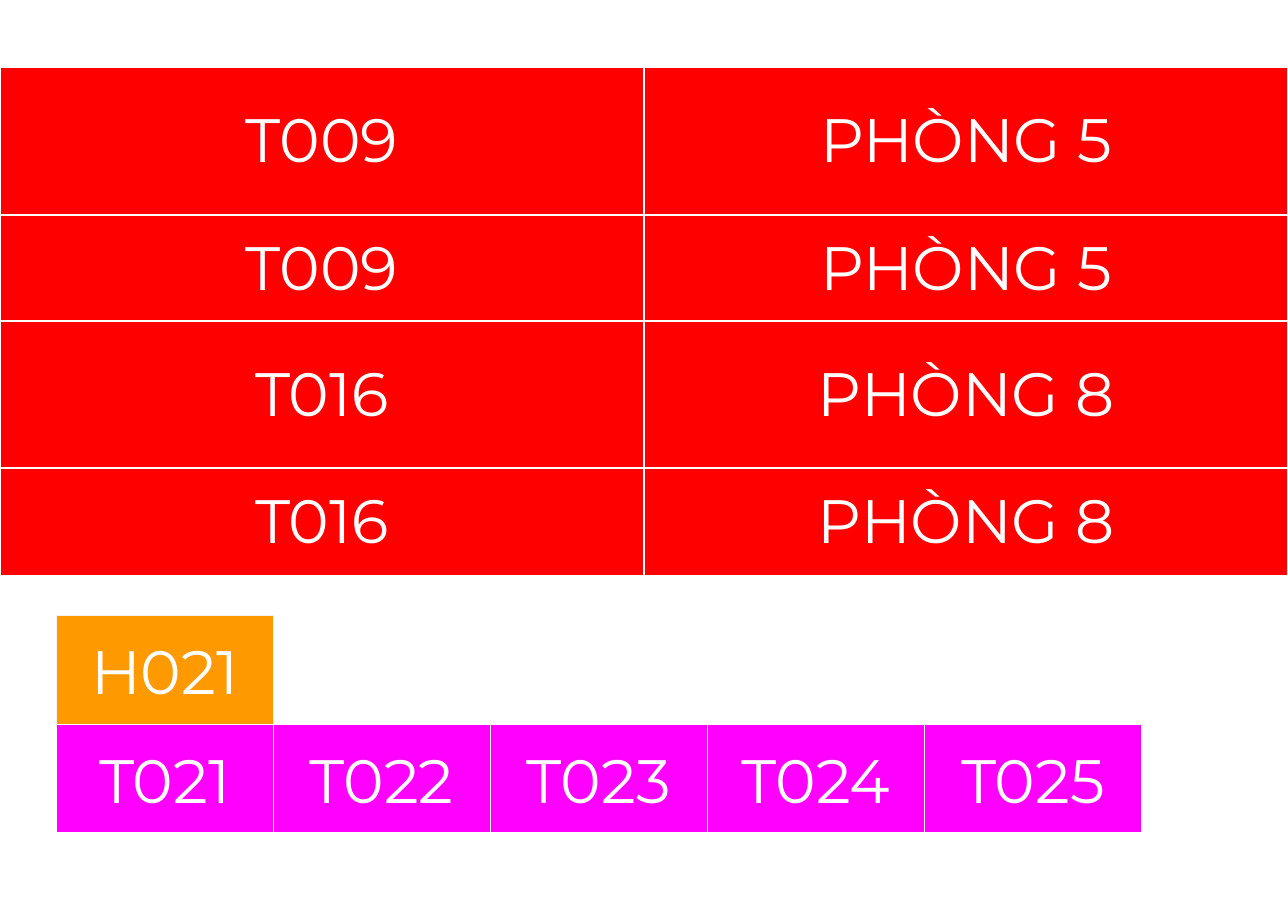
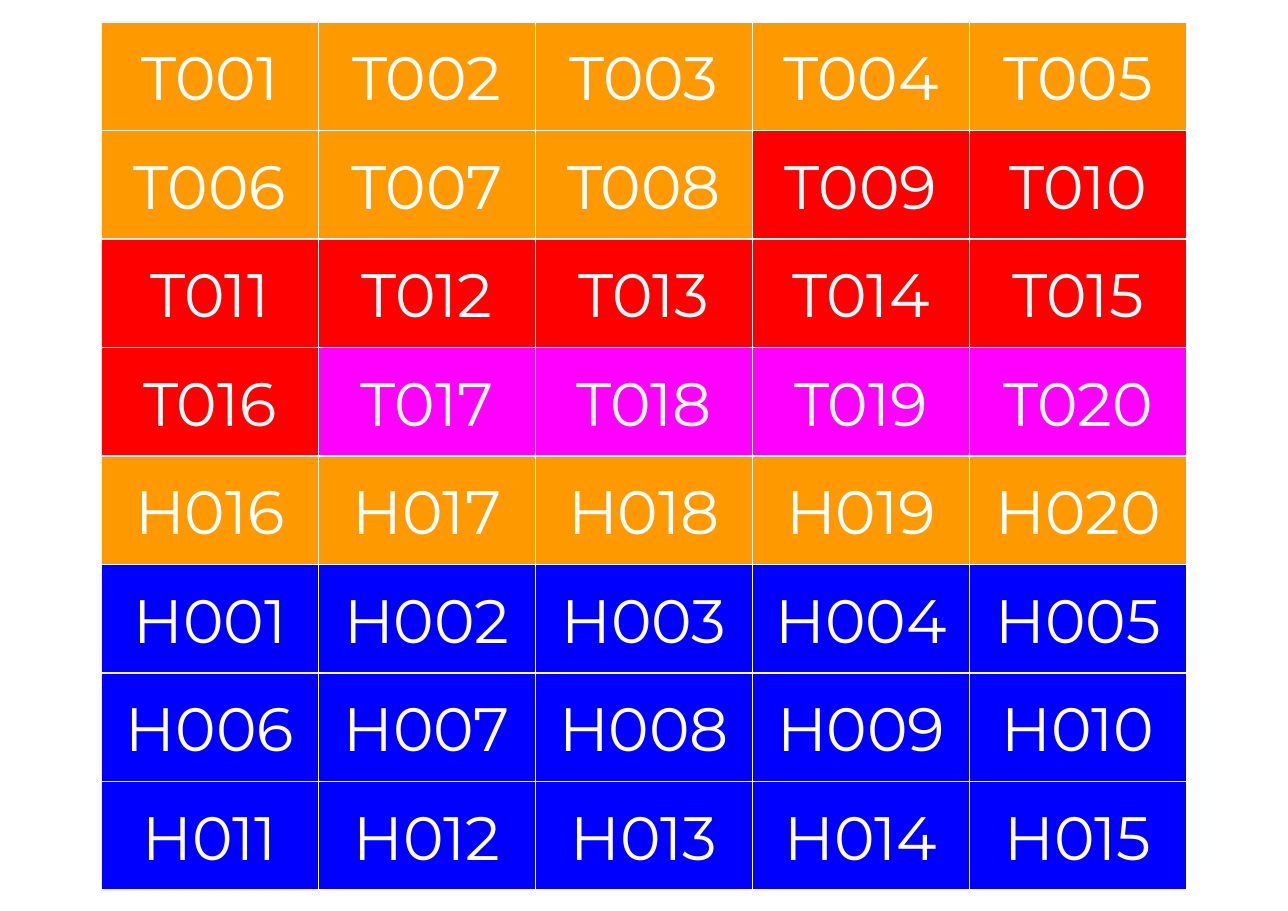
from pptx import Presentation
from pptx.dml.color import RGBColor
from pptx.enum.shapes import MSO_SHAPE
from pptx.enum.text import MSO_ANCHOR, PP_ALIGN
from pptx.oxml import parse_xml
from pptx.oxml.ns import nsdecls
from pptx.util import Inches, Pt

RECT = MSO_SHAPE.RECTANGLE
MIDDLE = MSO_ANCHOR.MIDDLE
CENTER = PP_ALIGN.CENTER

WHITE = RGBColor(0xFF, 0xFF, 0xFF)
PALE = RGBColor(0xF3, 0xF3, 0xF3)
ORANGE = RGBColor(0xFF, 0x99, 0x00)
RED = RGBColor(0xFF, 0x00, 0x00)
PINK = RGBColor(0xFF, 0x00, 0xFF)
BLUE = RGBColor(0x00, 0x00, 0xFF)

FONT = "Montserrat"
SIZE = Pt(40)
COLS = 5
TILE_W = 1.97
TILE_H = TILE_W / 2
FRAME = Inches(3.28)


def write(frame, text):
    """Put one centred white line in a text frame."""
    para = frame.paragraphs[0]
    para.text = text
    para.alignment = CENTER
    para.font.name = FONT
    para.font.size = SIZE
    para.font.color.rgb = WHITE


def add_tile(slide, x, y, text, fill, edge):
    """Draw one coloured room tile."""
    tile = slide.shapes.add_shape(RECT, Inches(x), Inches(y),
                                  Inches(TILE_W), Inches(TILE_H))
    tile.shadow.inherit = False
    tile.fill.solid()
    tile.fill.fore_color.rgb = fill
    tile.line.color.rgb = edge
    tile.line.width = Pt(0.75)
    frame = tile.text_frame
    frame.word_wrap = True
    frame.vertical_anchor = MIDDLE
    frame.margin_left = frame.margin_right = Inches(0.1)
    frame.margin_top = frame.margin_bottom = Inches(0.1)
    write(frame, text)


deck = Presentation()
deck.slide_width = Inches(11.69)
deck.slide_height = Inches(8.27)
blank = deck.slide_layouts[6]

# Slide 1: room tables, one row each
slide = deck.slides.add_slide(blank)
rooms = [
    (0.61, 1.34, "T009", "PHÒNG 5"),
    (1.95, 0.94, "T009", "PHÒNG 5"),
    (2.91, 1.34, "T016", "PHÒNG 8"),
    (4.25, 0.94, "T016", "PHÒNG 8"),
]
for top, high, *texts in rooms:
    holder = slide.shapes.add_table(1, 2, 0, Inches(top),
                                    deck.slide_width, Inches(high))
    # The frame keeps a fixed square size; the cells set the drawn size
    holder.width = holder.height = FRAME
    for cell, text in zip(holder.table.rows[0].cells, texts):
        cell.vertical_anchor = MIDDLE
        cell.margin_left = cell.margin_right = Inches(0.12)
        cell.margin_top = cell.margin_bottom = Inches(0.15)
        # Borders come before the fill in the cell properties
        props = cell._tc.get_or_add_tcPr()
        for side in ("lnL", "lnR", "lnT", "lnB"):
            props.append(parse_xml(
                f'<a:{side} {nsdecls("a")} w="{Pt(1.5)}"><a:solidFill>'
                f'<a:srgbClr val="{WHITE}"/></a:solidFill></a:{side}>'))
        cell.fill.solid()
        cell.fill.fore_color.rgb = RED
        write(cell.text_frame, text)

# Slide 1: tiles
left, top = 0.51, 5.59
add_tile(slide, left, top, "H021", ORANGE, PALE)
for col in range(COLS):
    add_tile(slide, left + col * TILE_W, top + TILE_H,
             f"T{21 + col:03}", PINK, WHITE)

# Slide 2: tile grid, as letter, first and last number, first slot, colour
slide = deck.slides.add_slide(blank)
left, top = 0.92, 0.2
groups = [
    ("T", 1, 8, 0, ORANGE),
    ("T", 9, 16, 8, RED),
    ("T", 17, 20, 16, PINK),
    ("H", 1, 15, 25, BLUE),
    ("H", 16, 20, 20, ORANGE),
]
for mark, first, last, slot, fill in groups:
    for num in range(first, last + 1):
        row, col = divmod(slot + num - first, COLS)
        add_tile(slide, left + col * TILE_W, top + row * TILE_H,
                 f"{mark}{num:03}", fill, WHITE if col else PALE)

deck.save("out.pptx")
